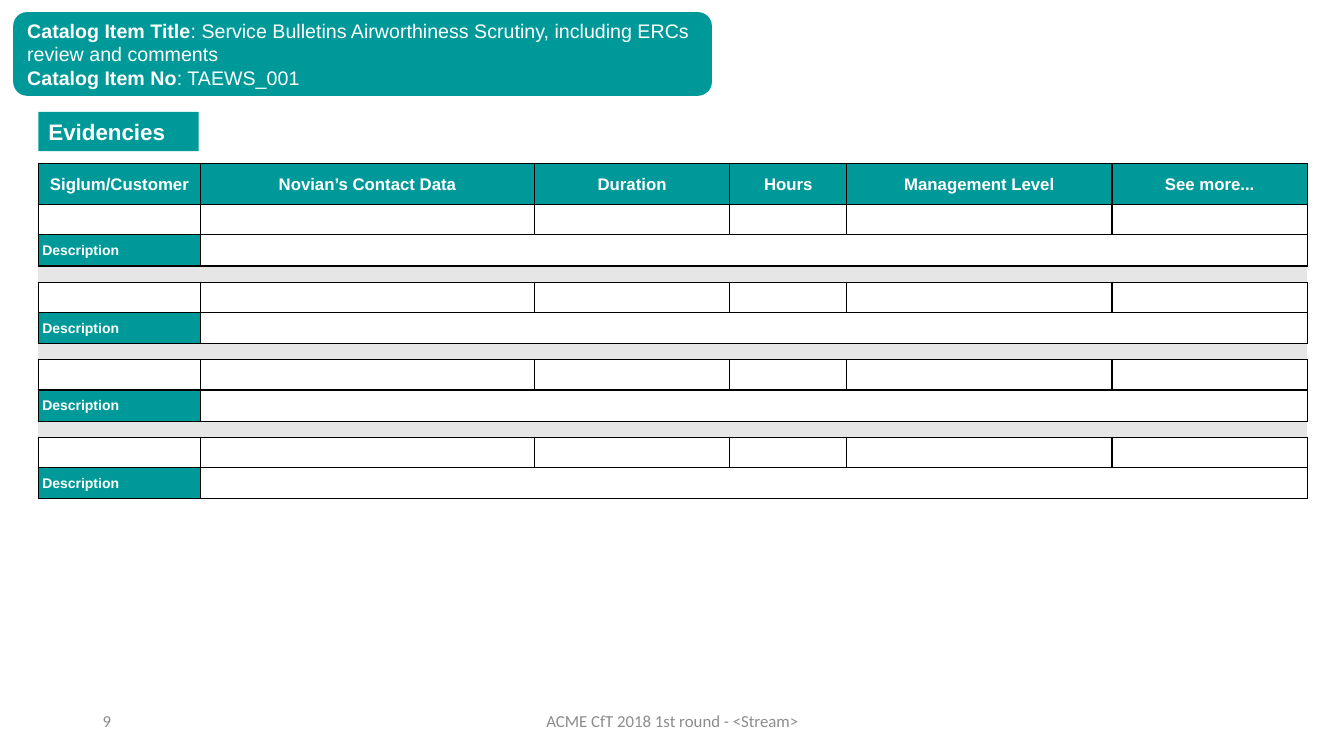
from lxml import etree
from pptx import Presentation
from pptx.dml.color import RGBColor
from pptx.enum.shapes import MSO_SHAPE
from pptx.enum.text import MSO_ANCHOR, MSO_AUTO_SIZE, PP_ALIGN
from pptx.oxml.ns import qn
from pptx.util import Inches, Pt

ROUND = MSO_SHAPE.ROUNDED_RECTANGLE
MIDDLE = MSO_ANCHOR.MIDDLE
FIXED = MSO_AUTO_SIZE.NONE
LEFT, CENTER = PP_ALIGN.LEFT, PP_ALIGN.CENTER

TEAL = RGBColor(0x00, 0x99, 0x99)
WHITE = RGBColor(0xFF, 0xFF, 0xFF)
BLACK = RGBColor(0x00, 0x00, 0x00)
PALE = RGBColor(0xE7, 0xE6, 0xE6)
GRAY = RGBColor(0x8C, 0x8C, 0x8C)

FONTS = {
    "banner": {"name": "Arial", "size": Pt(14), "bold": False},
    "title": {"name": "Arial", "size": Pt(16), "bold": True},
    "head": {"name": "Arial", "size": Pt(12), "bold": True},
    "label": {"name": "Arial", "size": Pt(10), "bold": True},
    "foot": {"name": "Calibri", "size": Pt(12), "bold": False},
}
FRAME = {"word_wrap": True, "auto_size": FIXED, "vertical_anchor": MIDDLE}
CELL = {
    "vertical_anchor": MIDDLE,
    "margin_left": Inches(0.01),
    "margin_right": Inches(0.01),
    "margin_top": Inches(0.01),
    "margin_bottom": 0,
}

HEADS = ["Siglum/Customer", "Novian’s Contact Data", "Duration", "Hours",
         "Management Level", "See more..."]
WIDTHS = [12.08, 24.83, 14.55, 8.7, 19.73, 14.55]
HEAD, ENTRY, LABEL, GAP = 5.47, 4, 4.13, 2.13
GROUPS = 4
BANNER = [
    [("Catalog Item Title", True),
     (": Service Bulletins Airworthiness Scrutiny, including ERCs review and comments", False)],
    [("Catalog Item No", True), (": TAEWS_001", False)],
]


def assign(item, values):
    for key, value in values.items():
        setattr(item, key, value)


class Deck:
    def __init__(self):
        self.show = Presentation()
        self.show.slide_width = Inches(13.33)
        self.show.slide_height = Inches(7.5)
        self.slide = self.show.slides.add_slide(self.show.slide_layouts[5])

    def across(self, share):
        return round(self.show.slide_width * share / 100)

    def down(self, share):
        return round(self.show.slide_height * share / 100)

    def place(self, left, top, width, height):
        return self.across(left), self.down(top), self.across(width), self.down(height)

    def label(self, para, text, style, color, align=LEFT, **extra):
        para.alignment = align
        run = para.add_run()
        run.text = text
        assign(run.font, FONTS[style] | extra)
        run.font.color.rgb = color

    def title(self, text, *area):
        shape = self.slide.shapes.title
        assign(shape, dict(zip(("left", "top", "width", "height"), self.place(*area))))
        shape.fill.solid()
        shape.fill.fore_color.rgb = TEAL
        assign(shape.text_frame, FRAME)
        self.label(shape.text_frame.paragraphs[0], text, "title", WHITE)

    def banner(self, lines, *area):
        shape = self.slide.shapes.add_shape(ROUND, *self.place(*area))
        shape.shadow.inherit = False
        shape.fill.solid()
        shape.fill.fore_color.rgb = TEAL
        shape.line.fill.background()
        frame = shape.text_frame
        assign(frame, FRAME)
        for i, line in enumerate(lines):
            para = frame.add_paragraph() if i else frame.paragraphs[0]
            for text, bold in line:
                self.label(para, text, "banner", WHITE, bold=bold)

    def note(self, text, align, *area):
        frame = self.slide.shapes.add_textbox(*self.place(*area)).text_frame
        assign(frame, FRAME)
        self.label(frame.paragraphs[0], text, "foot", GRAY, align)

    def cell(self, cell, text="", style="label", fill=None, align=LEFT, sides="LRTB", inset=0.01):
        assign(cell, CELL | {"margin_left": Inches(inset)})
        props = cell._tc.get_or_add_tcPr()
        for side in "LRTB":
            line = etree.SubElement(props, qn(f"a:ln{side}"), w=str(Pt(1)))
            if side in sides:
                paint = etree.SubElement(line, qn("a:solidFill"))
                etree.SubElement(paint, qn("a:srgbClr"), val=str(BLACK))
            else:
                etree.SubElement(line, qn("a:noFill"))
        if fill is None:
            cell.fill.background()
        else:
            cell.fill.solid()
            cell.fill.fore_color.rgb = fill
        para = cell.text_frame.paragraphs[0]
        if text:
            self.label(para, text, style, WHITE, align)
        else:
            etree.SubElement(para._p, qn("a:endParaRPr"), sz="600")

    def table(self, left, top):
        rows = [HEAD] + ([ENTRY, LABEL, GAP] * GROUPS)[:-1]
        area = self.place(left, top, sum(WIDTHS), sum(rows))
        table = self.slide.shapes.add_table(len(rows), len(WIDTHS), *area).table
        assign(table, {"first_row": False, "horz_banding": False})
        for col, width in zip(table.columns, WIDTHS):
            col.width = self.across(width)
        last = len(WIDTHS) - 1
        for r, height in enumerate(rows):
            table.rows[r].height = self.down(height)
            for c, head in enumerate(HEADS):
                cell = table.cell(r, c)
                if height == HEAD:
                    self.cell(cell, head, "head", TEAL, CENTER)
                elif height == GAP:
                    self.cell(cell, fill=PALE, sides="TB")
                elif height == LABEL and c == 0:
                    self.cell(cell, "Description", fill=TEAL, inset=0.04)
                else:
                    self.cell(cell)
            if height in (LABEL, GAP):
                first = 1 if height == LABEL else 0
                table.cell(r, first).merge(table.cell(r, last))


def main():
    deck = Deck()
    deck.note("ACME CfT 2018 1st round - <Stream>", CENTER, 33.16, 92.67, 33.76, 5.33)
    deck.note("9", LEFT, 6.9, 92.67, 22.5, 5.33)
    deck.table(2.85, 21.6)
    deck.title("Evidencies", 2.85, 14.8, 11.93, 5.2)
    deck.banner(BANNER, 0.98, 1.6, 51.99, 11.07)
    deck.show.save("out.pptx")


if __name__ == "__main__":
    main()
